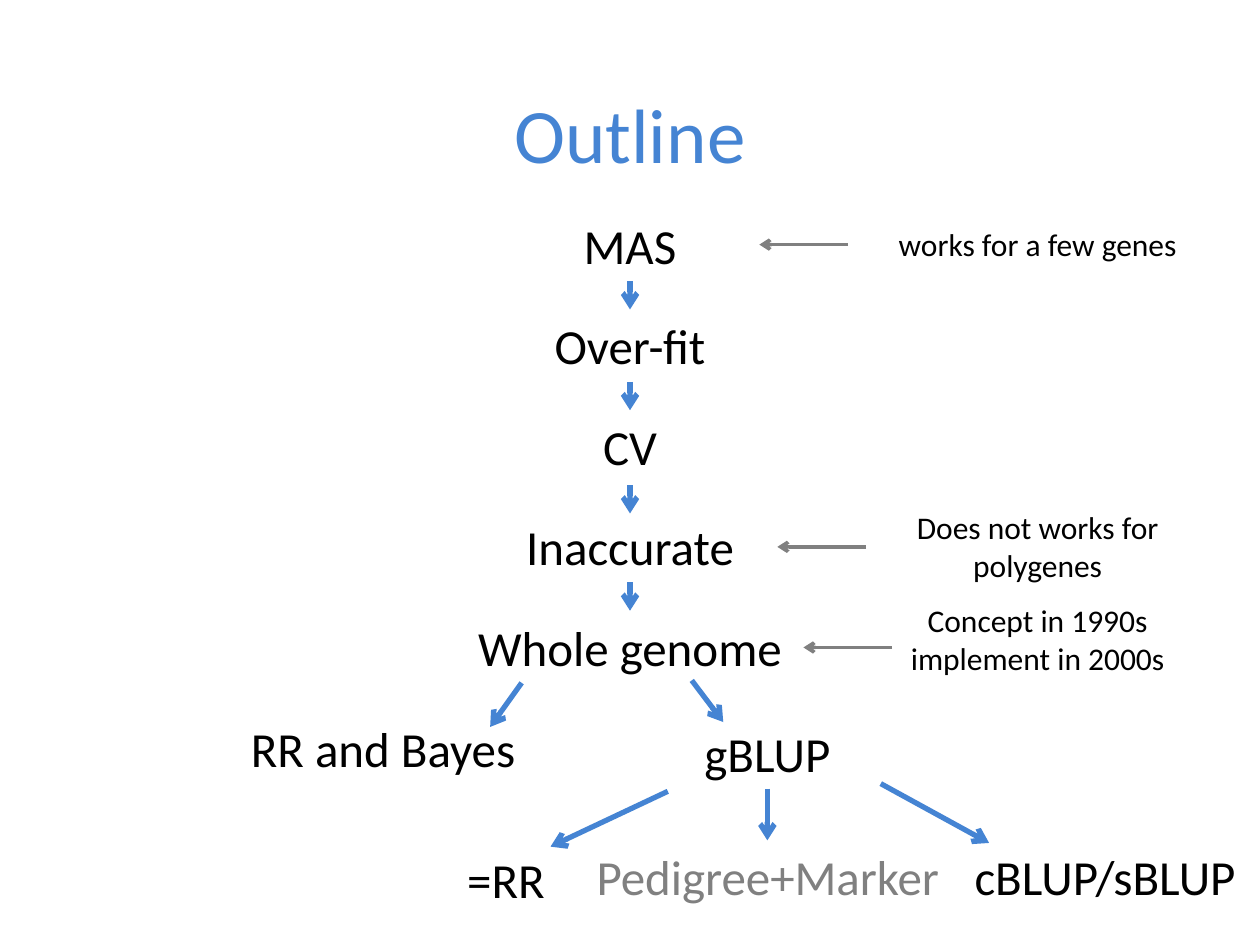
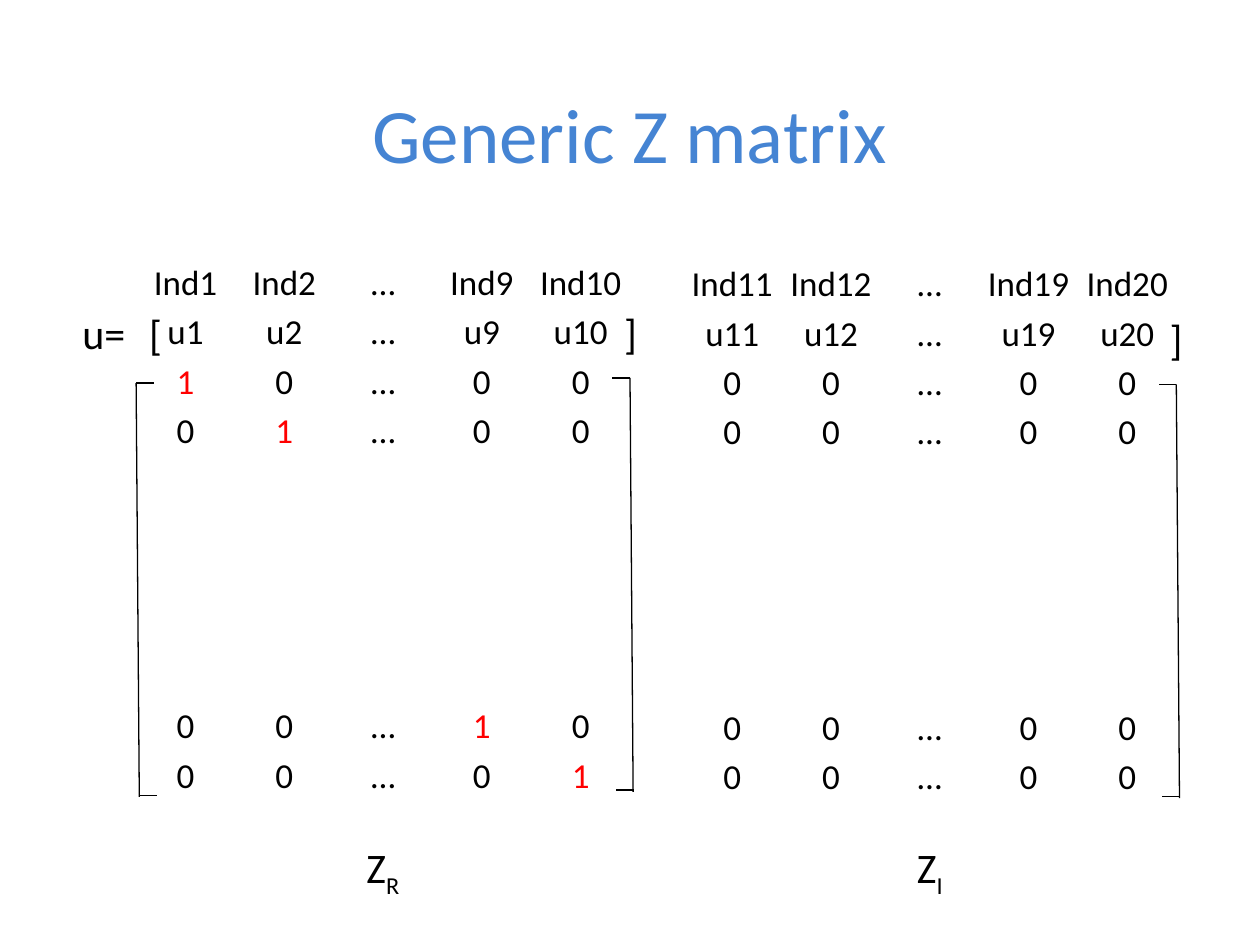
import pptx
import pptx.util
import pptx.dml.color
import pptx.enum.shapes
import pptx.enum.text
from lxml import etree

Pt = pptx.util.Pt
COLORS = {"accent": "4584D3", "text": "000000", "muted": "808080", "mark": "FF0000"}
FONT = "Calibri"
NS = "http://schemas.openxmlformats.org/drawingml/2006/main"


class Deck:
    def __init__(self):
        self.prs = pptx.Presentation()
        self.prs.slide_width = Pt(720)
        self.prs.slide_height = Pt(540)
        self.s = None

    def slide(self, title):
        self.s = self.prs.slides.add_slide(self.prs.slide_layouts[6])
        tf = self.text(title, 36, 26.6, 648, 98.6, 44, "accent")
        tf.auto_size = pptx.enum.text.MSO_AUTO_SIZE.NONE
        tf.vertical_anchor = pptx.enum.text.MSO_ANCHOR.MIDDLE

    def rgb(self, color):
        return pptx.dml.color.RGBColor.from_string(COLORS[color])

    def style(self, p, size, color):
        p.alignment = pptx.enum.text.PP_ALIGN.CENTER
        for r in p.runs:
            r.font.name = FONT
            r.font.size = Pt(size)
            r.font.color.rgb = self.rgb(color)

    def text(self, text, x, y, w, h, size, color="text"):
        tf = self.s.shapes.add_textbox(Pt(x), Pt(y), Pt(w), Pt(h)).text_frame
        tf.word_wrap = True
        tf.auto_size = pptx.enum.text.MSO_AUTO_SIZE.SHAPE_TO_FIT_TEXT
        tf.text = text
        self.style(tf.paragraphs[0], size, color)
        return tf

    def subscripted(self, base, sub, x, y, w, h, size):
        p = self.text(base, x, y, w, h, size).paragraphs[0]
        r = p.add_run()
        r.text = sub
        self.style(p, size, "text")
        r.font._element.set("baseline", "-25000")

    def line(self, x1, y1, x2, y2, color="text", width=0.75, arrow=False):
        sp = self.s.shapes.add_connector(
            pptx.enum.shapes.MSO_CONNECTOR.STRAIGHT, Pt(x1), Pt(y1), Pt(x2), Pt(y2))
        sp.line.color.rgb = self.rgb(color)
        sp.line.width = Pt(width)
        if arrow:
            etree.SubElement(sp.line._get_or_add_ln(), f"{{{NS}}}tailEnd", type="arrow")
        etree.SubElement(sp._element.spPr, f"{{{NS}}}effectLst")

    def bracket(self, x, y, tick):
        height, lean = 236.5, 1.8
        self.line(x, y, x + lean, y + height)
        self.line(x, y, x + tick, y)
        self.line(x + lean, y + height - 1, x + lean + tick, y + height - 1)

    def table(self, rows, x, y, col_w, row_h, size):
        n, m = len(rows), len(rows[0])
        tbl = self.s.shapes.add_table(
            n, m, Pt(x), Pt(y), Pt(col_w * m), Pt(row_h * n)).table
        tbl.first_row = tbl.horz_banding = False
        for col in tbl.columns:
            col.width = Pt(col_w)
        for row, values in zip(tbl.rows, rows):
            row.height = Pt(row_h)
            for cell, value in zip(row.cells, values):
                cell.fill.background()
                cell.margin_left = cell.margin_right = cell.margin_top = Pt(0.75)
                cell.margin_bottom = 0
                cell.vertical_anchor = pptx.enum.text.MSO_ANCHOR.BOTTOM
                cell.text_frame.text = value
                color = "mark" if value == "1" else "text"
                self.style(cell.text_frame.paragraphs[0], size, color)


def outline(d):
    d.slide("Outline")
    steps = ["MAS", "Over-fit", "CV", "Inaccurate", "Whole genome"]
    for i, step in enumerate(steps):
        d.text(step, 255.6, 119.5 + 57.4 * i, 208.8, 41, 28)
    for text, x, y, w, color in [
        ("RR and Bayes", 114.5, 406.8, 208.8, "text"),
        ("gBLUP", 334.1, 409.7, 208.8, "text"),
        ("=RR", 244.1, 481.7, 90, "text"),
        ("Pedigree+Marker", 316.8, 480.2, 244, "muted"),
        ("cBLUP/sBLUP", 542.9, 480.2, 177.1, "text"),
    ]:
        d.text(text, x, y, w, 41, 28, color)
    for text, y, h in [
        ("works for a few genes", 125.3, 29),
        ("Does not works for polygenes", 286.6, 51),
        ("Concept in 1990s implement in 2000s", 339.8, 51),
    ]:
        d.text(text, 484.6, y, 216.7, h, 18)
    for y in (160.6, 218.2, 277.2, 332.8):
        d.line(360, y, 360, y + 16.2, "accent", 3, True)
    for ends in [
        (298.1, 390.2, 280.1, 415.4),
        (395.3, 388.8, 413.3, 412.6),
        (381.6, 452.2, 314.6, 483.8),
        (438.5, 450.7, 438.5, 480.2),
        (503.3, 447.8, 565.2, 481.7),
    ]:
        d.line(*ends, "accent", 3, True)
    for x, y in [(484.6, 139.8), (494.9, 312.5), (509.8, 370)]:
        d.line(x, y, x - 50.7, y, "muted", 2, True)


def z_rows(individuals):
    def row(fill):
        return [fill(i) if i else "…" for i in individuals]

    def record(k):
        return row(lambda i: "1" if i == k else "0")

    gap = [[""] * len(individuals)] * 5
    return [row("Ind{}".format), row("u{}".format), record(1), record(2),
            *gap, record(9), record(10)]


def z_matrix(d):
    d.slide("Generic Z matrix")
    d.table(z_rows([1, 2, None, 9, 10]), 77.8, 146.2, 56.45, 28.15, 20)
    d.table(z_rows([11, 12, None, 19, 20]), 390.2, 146.9, 56.45, 28.15, 20)
    for text, x, y in [("u=", 29.5, 172.1), ("[", 59, 172.8),
                       ("]", 330.5, 172.1), ("]", 642.2, 175.7)]:
        d.text(text, x, y, 59.8, 36, 24)
    for x, y, tick in [(77.8, 218.9, 10), (360, 216, -10), (672.2, 219.6, -10)]:
        d.bracket(x, y, tick)
    for sub, x in [("R", 192.2), ("I", 504.7)]:
        d.subscripted("Z", sub, x, 477.4, 53.3, 36, 24)


def main():
    d = Deck()
    outline(d)
    z_matrix(d)
    d.prs.save("out.pptx")


if __name__ == "__main__":
    main()
